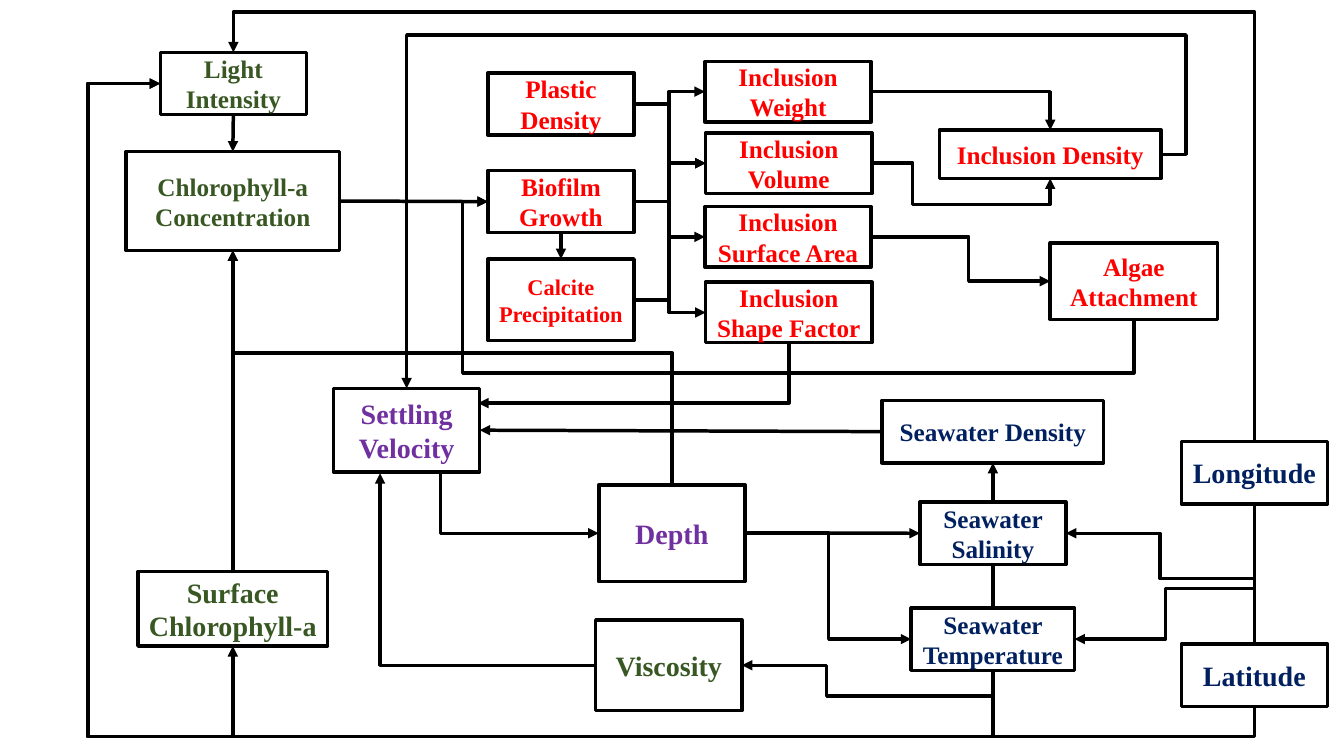
from lxml.etree import SubElement
from pptx import Presentation
from pptx.dml.color import RGBColor
from pptx.enum.shapes import MSO_CONNECTOR as Link, MSO_SHAPE as Preset
from pptx.enum.text import MSO_ANCHOR as Anchor, PP_ALIGN as Align
from pptx.oxml.ns import qn
from pptx.util import Pt

FONT = "Times New Roman"
BLACK, RED, GREEN, PURPLE, NAVY = "000000", "FF0000", "385723", "7030A0", "002060"
STROKE = 2.5
SIDES = ("top", "left", "bottom", "right")
QUARTER_TURNS = {"right": 0, "bottom": 1, "left": 2, "top": 3}
INCLUSION_X = 478
LOWER_BUS = 526
LEFT_BUS = 63

BOXES = [
    ("Plastic Density", 348.5, 52, 104.4, 44.6, RED, 18),
    ("Biofilm Growth", 348.5, 121.7, 104.4, 44.6, RED, 18),
    ("Calcite Precipitation", 348.5, 185, 104.4, 58.3, RED, 16),
    ("Inclusion Density", 671, 92.9, 158.4, 34.6, RED, 18),
    ("Inclusion Weight", 503.5, 43.9, 118.8, 43.2, RED, 18),
    ("Inclusion Volume", 504, 95, 118.8, 43.2, RED, 18),
    ("Inclusion Surface Area", 503.5, 147.6, 118.8, 43.2, RED, 18),
    ("Inclusion Shape Factor", 504, 201.6, 118.8, 43.2, RED, 18),
    ("Algae Attachment", 750.2, 173.5, 119.5, 54.7, RED, 18),
    ("Depth", 427.7, 346.3, 104.4, 69.1, PURPLE, 20),
    ("Settling Velocity", 238.3, 277.4, 104.4, 59.8, PURPLE, 20),
    ("Seawater Density", 630, 286, 158.4, 44.6, NAVY, 18),
    ("Seawater Salinity", 657, 358.6, 104.4, 44.6, NAVY, 18),
    ("Seawater Temperature", 650.9, 434.2, 116.6, 44.6, NAVY, 18),
    ("Longitude", 843.8, 315.4, 104.4, 44.6, NAVY, 20),
    ("Latitude", 843.8, 460.1, 104.4, 44.6, NAVY, 20),
    ("Viscosity", 425.5, 442.8, 104.4, 64.8, GREEN, 20),
    ("Light Intensity", 114.5, 37.4, 104.4, 44.6, GREEN, 18),
    ("Chlorophyll-a Concentration", 90, 108.3, 152.6, 70.6, GREEN, 18),
    ("Surface\nChlorophyll-a", 98.6, 408.2, 135.4, 53.3, GREEN, 20),
]

ARROWS = [
    (("Plastic Density", "right"), [INCLUSION_X], ("Inclusion Weight", "left")),
    (("Plastic Density", "right"), [INCLUSION_X], ("Inclusion Volume", "left")),
    (("Biofilm Growth", "right"), [INCLUSION_X], ("Inclusion Volume", "left")),
    (("Biofilm Growth", "right"), [INCLUSION_X], ("Inclusion Surface Area", "left")),
    (("Calcite Precipitation", "right"), [INCLUSION_X], ("Inclusion Volume", "left")),
    (("Calcite Precipitation", "right"), [INCLUSION_X], ("Inclusion Shape Factor", "left")),
    (("Biofilm Growth", "bottom"), [], ("Calcite Precipitation", "top")),
    (("Inclusion Weight", "right"), [], ("Inclusion Density", "top")),
    (("Inclusion Volume", "right"), [652, 146], ("Inclusion Density", "bottom")),
    (("Inclusion Surface Area", "right"), [692], ("Algae Attachment", "left")),
    (("Inclusion Density", "right"), [847, 25], ("Settling Velocity", "top")),
    (("Algae Attachment", "bottom"), [266.4, 330.5], ("Biofilm Growth", "left")),
    (("Inclusion Shape Factor", "bottom"), [], (341.5, 288, "right")),
    (("Seawater Density", "left"), [], ("Settling Velocity", "right")),
    ((314.6, 337.5, "bottom"), [], ("Depth", "left")),
    (("Viscosity", "left"), [], (271.5, 338, "bottom")),
    (("Depth", "top"), [252], ("Chlorophyll-a Concentration", "bottom")),
    (("Depth", "right"), [], ("Seawater Salinity", "left")),
    (("Depth", "right"), [592], ("Seawater Temperature", "left")),
    (("Seawater Salinity", "top"), [], ("Seawater Density", "bottom")),
    (("Seawater Temperature", "bottom"), [497, 590.5], ("Viscosity", "right")),
    ((896, 413.3, "left"), [828.5], ("Seawater Salinity", "right")),
    ((896, 420.5, "left"), [832.5], ("Seawater Temperature", "right")),
    (("Longitude", "top"), [8.6], ("Light Intensity", "top")),
    (("Seawater Temperature", "bottom"), [LOWER_BUS, LEFT_BUS], ("Light Intensity", "left")),
    (("Latitude", "bottom"), [LOWER_BUS, LEFT_BUS], ("Light Intensity", "left")),
    (("Light Intensity", "bottom"), [], ("Chlorophyll-a Concentration", "top")),
    (("Chlorophyll-a Concentration", "right"), [], ("Biofilm Growth", "left")),
    (("Surface\nChlorophyll-a", "top"), [], ("Chlorophyll-a Concentration", "bottom")),
    ((166.3, LOWER_BUS, "top"), [], ("Surface\nChlorophyll-a", "bottom")),
]

PLAIN_LINES = [
    (("Longitude", "bottom"), [], ("Latitude", "top")),
    (("Seawater Salinity", "bottom"), [], ("Seawater Temperature", "top")),
]


def color(value):
    """Return the colour for a hex string."""
    return RGBColor.from_string(value)


def write(frame, text, size=18, ink=BLACK, bold=True, align=Align.CENTER):
    """Write text into a frame, one paragraph per line."""
    frame.word_wrap = True
    frame.vertical_anchor = Anchor.MIDDLE
    for index, line in enumerate(text.split("\n")):
        para = frame.add_paragraph() if index else frame.paragraphs[0]
        para.alignment = align
        span = para.add_run()
        span.text = line
        span.font.name, span.font.size, span.font.bold = FONT, Pt(size), bold
        span.font.color.rgb = color(ink)


def draw_line(line):
    """Apply the diagram's stroke."""
    line.color.rgb = color(BLACK)
    line.width = Pt(STROKE)


def add_box(page, text, left, top, width, height, ink, size):
    """Add an outlined box with a centred label."""
    box = page.shapes.add_shape(Preset.RECTANGLE, Pt(left), Pt(top), Pt(width), Pt(height))
    box.shadow.inherit = False
    box.fill.background()
    draw_line(box.line)
    write(box.text_frame, text, size=size, ink=ink)
    return box


def locate(boxes, stop):
    """Return x, y, side and box for a stop on a box or at a free point."""
    if len(stop) == 3:
        return *stop, None
    name, side = stop
    box = boxes[name]
    across = {"left": 0, "right": 1}.get(side, 0.5)
    down = {"top": 0, "bottom": 1}.get(side, 0.5)
    return (box.left + across * box.width).pt, (box.top + down * box.height).pt, side, box


def locate_points(boxes, stop):
    """Return the point, side and box of a stop."""
    if len(stop) == 3:
        return stop[:2], stop[2], None
    name, side = stop
    box = boxes[name]
    across = {"left": 0, "right": 1}.get(side, 0.5)
    down = {"top": 0, "bottom": 1}.get(side, 0.5)
    return ((box.left + across * box.width) / Pt(1), (box.top + down * box.height) / Pt(1)), side, box


def trace(start, side, turns, end):
    """Return the corners of a right-angled route."""
    points = [start]
    across = side in ("left", "right")
    for turn in turns:
        x, y = points[-1]
        points.append((turn, y) if across else (x, turn))
        across = not across
    x, y = points[-1]
    if turns or min(abs(end[0] - x), abs(end[1] - y)) > 3:
        points.append((end[0], y) if across else (x, end[1]))
    return points + [end]


def unturn(point, quarters):
    """Turn a point back by a number of clockwise quarter turns."""
    x, y = point
    return ((x, y), (y, -x), (-x, -y), (-y, x))[quarters]


def add_route(page, boxes, start_stop, turns, end_stop, arrow=True):
    """Add a straight or elbow connector between two stops."""
    start, side, start_box = locate_points(boxes, start_stop)
    end, end_side, end_box = locate_points(boxes, end_stop)
    points = trace(start, side, turns, end)
    bends = len(points) - 1
    quarters = QUARTER_TURNS[side] if bends > 1 else 0
    route = page.shapes.add_connector(Link.ELBOW if bends > 1 else Link.STRAIGHT, 0, 0, 0, 0)
    if start_box:
        route.begin_connect(start_box, SIDES.index(side))
    if end_box:
        route.end_connect(end_box, SIDES.index(end_side))
    local = [unturn(point, quarters) for point in points]
    (x1, y1), (x2, y2) = local[0], local[-1]
    mid_x, mid_y = (start[0] + end[0]) / 2, (start[1] + end[1]) / 2
    half_x, half_y = (x2 - x1) / 2, (y2 - y1) / 2
    route.begin_x, route.begin_y = Pt(mid_x - half_x), Pt(mid_y - half_y)
    route.end_x, route.end_y = Pt(mid_x + half_x), Pt(mid_y + half_y)
    draw_line(route.line)
    properties = route._element.spPr
    if bends > 1:
        properties.find(qn("a:xfrm")).set("rot", str(quarters * 5400000))
        geometry = properties.find(qn("a:prstGeom"))
        geometry.set("prst", f"bentConnector{bends}")
        shares = [(local[1][0] - x1) / (x2 - x1), (local[2][1] - y1) / (y2 - y1)]
        for number, share in enumerate(shares[:bends - 2], 1):
            SubElement(geometry.find(qn("a:avLst")), qn("a:gd"),
                       name=f"adj{number}", fmla=f"val {round(share * 100000)}")
    if arrow:
        SubElement(properties.find(qn("a:ln")), qn("a:tailEnd"), type="triangle")
    SubElement(properties, qn("a:effectLst"))


def main():
    """Build the settling velocity diagram."""
    deck = Presentation()
    deck.slide_width, deck.slide_height = Pt(960), Pt(540)
    page = deck.slides.add_slide(deck.slide_layouts[6])
    boxes = {row[0]: add_box(page, *row) for row in BOXES}
    for row in ARROWS:
        add_route(page, boxes, *row)
    for row in PLAIN_LINES:
        add_route(page, boxes, *row, arrow=False)
    deck.save("out.pptx")


main()
